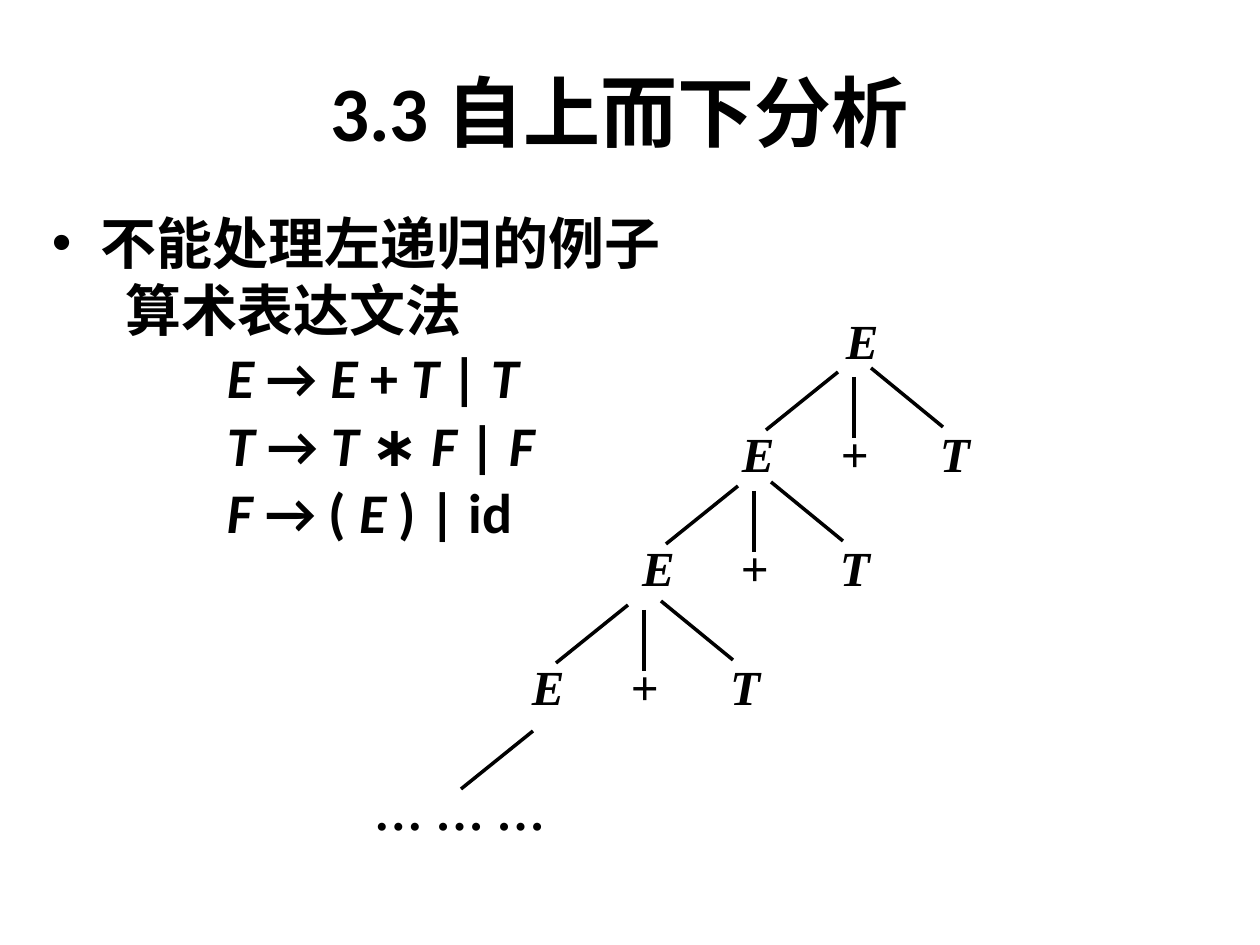
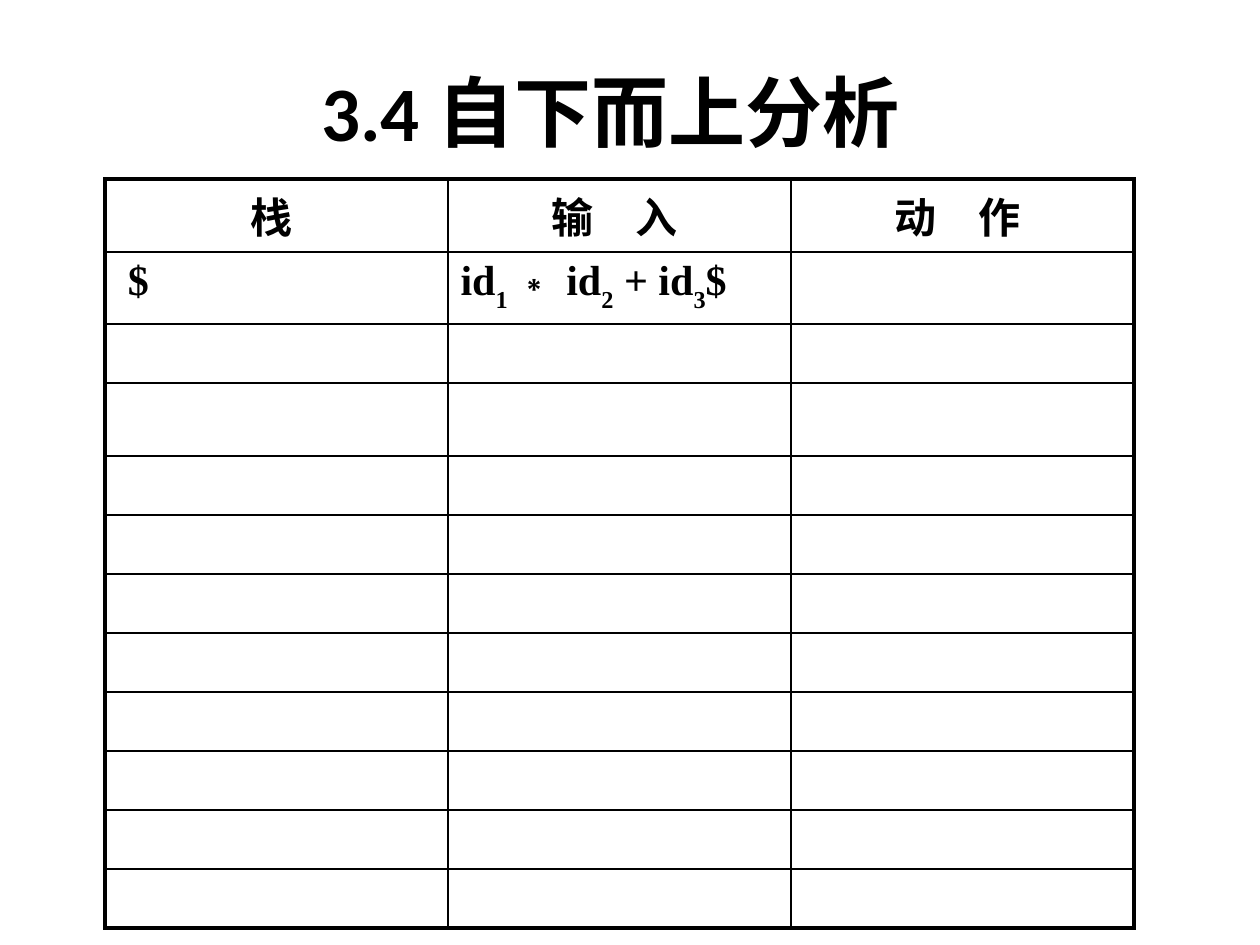
from itertools import groupby

from lxml import etree
from pptx import Presentation
from pptx.dml.color import RGBColor
from pptx.enum.shapes import MSO_CONNECTOR
from pptx.enum.text import MSO_ANCHOR, PP_ALIGN
from pptx.oxml.ns import qn
from pptx.util import Inches, Pt

STRAIGHT = MSO_CONNECTOR.STRAIGHT
MIDDLE, TOP = MSO_ANCHOR.MIDDLE, MSO_ANCHOR.TOP
CENTER, LEFT = PP_ALIGN.CENTER, PP_ALIGN.LEFT

COLORS = {"ink": "000000", "paper": "FFFFFF"}
LATIN, HAN, SERIF = "Calibri", "Noto Sans CJK SC", "Times New Roman"
FORMATS = {
    "title": {"size": Pt(44), "bold": True},
    "body": {"size": Pt(32), "bold": True, "name": LATIN},
    "tree": {"size": Pt(28), "bold": True, "name": SERIF},
    "heading": {"size": Pt(24), "bold": True, "name": HAN},
    "entry": {"size": Pt(24), "bold": True, "name": SERIF},
}

TITLE_BOX = (84, 32, 1071, 157)
BODY_BOX = (39, 202, 1181, 690)
TABLE_BOX = (105, 179, 1029, 746)
LABEL_SIZE = (43, 70)
LEVELS = [(740, 368), (640, 482), (530, 601)]
LAST_LEVEL = (435, 727)
BRANCHES = [(98, 4, 26, 62), (114, 9, 114, 70), (131, 0, 203, 59)]
PRODUCTIONS = ["E → E + T | T", "T → T ∗ F | F", "F → ( E ) | id"]
HEADINGS = ["栈 ", "输　入 ", "动　作 "]
INPUT = [("id", 0), ("1 ", -30), ("∗ id", 0), ("2", -30), (" + id", 0), ("3", -30), ("$", 0)]
ROW_HEIGHTS = [73, 68, 59, 73] + [59] * 8


def px(length):
    return round(length * 914400 / 126)


def add_run(paragraph, text, style, baseline=0, **changes):
    run = paragraph.add_run()
    run.text = text
    values = {**FORMATS[style], **changes}
    for name, value in values.items():
        setattr(run.font, name, value)
    run.font.color.rgb = RGBColor.from_string(COLORS["ink"])
    properties = run.font._element
    etree.SubElement(properties, qn("a:ea"), typeface=values["name"])
    if baseline:
        properties.set("baseline", str(baseline * 1000))


def add_symbols(paragraph, text, style):
    for italic, symbols in groupby(text, str.isupper):
        add_run(paragraph, "".join(symbols), style, italic=italic)


def add_text_frame(slide, box, anchor=TOP, inset=(13, 6)):
    frame = slide.shapes.add_textbox(*map(px, box)).text_frame
    side, end = map(px, inset)
    settings = {
        "word_wrap": True, "vertical_anchor": anchor,
        "margin_left": side, "margin_right": side,
        "margin_top": end, "margin_bottom": end,
    }
    for name, value in settings.items():
        setattr(frame, name, value)
    return frame


def add_title(slide, number, topic):
    paragraph = add_text_frame(slide, TITLE_BOX, MIDDLE).paragraphs[0]
    paragraph.alignment = CENTER
    add_run(paragraph, number, "title", name=LATIN)
    add_run(paragraph, topic, "title", name=HAN)


def add_grammar(slide, box):
    frame = add_text_frame(slide, box)
    lines = [("不能处理左递归的例子", 48, -48), ("算术表达文法", 73, 0)]
    lines += [(production, 175, 0) for production in PRODUCTIONS]
    for index, (text, margin, indent) in enumerate(lines):
        paragraph = frame.add_paragraph() if index else frame.paragraphs[0]
        properties = paragraph._p.get_or_add_pPr()
        properties.set("marL", str(px(margin)))
        properties.set("indent", str(px(indent)))
        if indent:
            etree.SubElement(properties, qn("a:buFont"), typeface="Arial")
            etree.SubElement(properties, qn("a:buChar"), char="•")
        paragraph.line_spacing = Pt(38.5)
        add_symbols(paragraph, text, "body")


def add_label(slide, text, left, top, size=LABEL_SIZE):
    frame = add_text_frame(slide, (left, top, *size), inset=(2, 1))
    add_symbols(frame.paragraphs[0], text, "tree")


def add_branch(slide, origin, branch):
    left, top = origin
    x1, y1, x2, y2 = branch
    ends = (left + x1, top + y1, left + x2, top + y2)
    line = slide.shapes.add_connector(STRAIGHT, *map(px, ends))
    line.line.color.rgb = RGBColor.from_string(COLORS["ink"])
    line.line.width = Pt(2)
    etree.SubElement(line._element.spPr, qn("a:effectLst"))


def add_parse_tree(slide):
    add_label(slide, "E", 844, 310)
    for left, top in LEVELS:
        for branch in BRANCHES:
            add_branch(slide, (left, top), branch)
        for column, symbol in enumerate("E+T"):
            add_label(slide, symbol, left + 99 * column, top + 55)
    add_branch(slide, LAST_LEVEL, BRANCHES[0])
    left, top = LAST_LEVEL
    add_label(slide, "… … …", left - 63, top + 53, (278, 69))


def set_borders(cell, outer_edges):
    properties = cell._tc.get_or_add_tcPr()
    for edge in "LRTB":
        width = Pt(2.25) if edge in outer_edges else Pt(1)
        line = etree.SubElement(properties, qn(f"a:ln{edge}"), w=str(width))
        fill = etree.SubElement(line, qn("a:solidFill"))
        etree.SubElement(fill, qn("a:srgbClr"), val=COLORS["ink"])


def add_stack_table(slide, box):
    rows, columns = len(ROW_HEIGHTS), len(HEADINGS)
    table = slide.shapes.add_table(rows, columns, *map(px, box)).table
    table.first_row = table.horz_banding = False
    for column in table.columns:
        column.width = px(box[2] / columns)
    for row, height in enumerate(ROW_HEIGHTS):
        table.rows[row].height = px(height)
        for column in range(columns):
            cell = table.cell(row, column)
            edges = {"L": column == 0, "R": column == columns - 1,
                     "T": row == 0, "B": row == rows - 1}
            set_borders(cell, [edge for edge, outer in edges.items() if outer])
            cell.fill.background()
    for column, heading in enumerate(HEADINGS):
        paragraph = table.cell(0, column).text_frame.paragraphs[0]
        paragraph.alignment = CENTER
        add_run(paragraph, heading, "heading")
    stack, remaining = table.cell(1, 0), table.cell(1, 1)
    stack.margin_left = px(23)
    for cell, parts in ((stack, [("$", 0)]), (remaining, INPUT)):
        paragraph = cell.text_frame.paragraphs[0]
        paragraph.alignment = LEFT
        for text, baseline in parts:
            add_run(paragraph, text, "entry", baseline)


def add_slide(deck, number, topic):
    slide = deck.slides.add_slide(deck.slide_layouts[6])
    slide.background.fill.solid()
    slide.background.fill.fore_color.rgb = RGBColor.from_string(COLORS["paper"])
    add_title(slide, number, topic)
    return slide


def main():
    deck = Presentation()
    deck.slide_width, deck.slide_height = Inches(10), Inches(7.5)
    top_down = add_slide(deck, "3.3 ", "自上而下分析")
    add_grammar(top_down, BODY_BOX)
    add_parse_tree(top_down)
    bottom_up = add_slide(deck, "3.4 ", "自下而上分析 ")
    add_stack_table(bottom_up, TABLE_BOX)
    deck.save("out.pptx")


if __name__ == "__main__":
    main()
